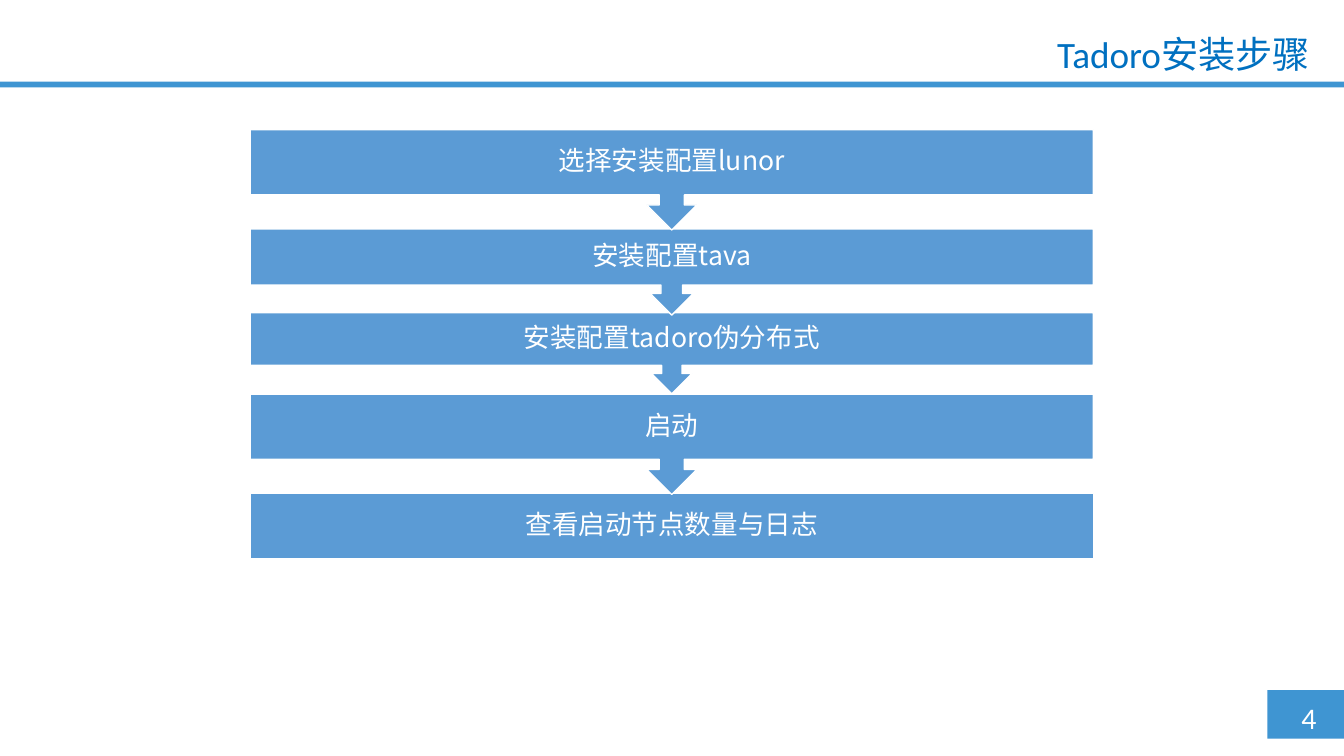
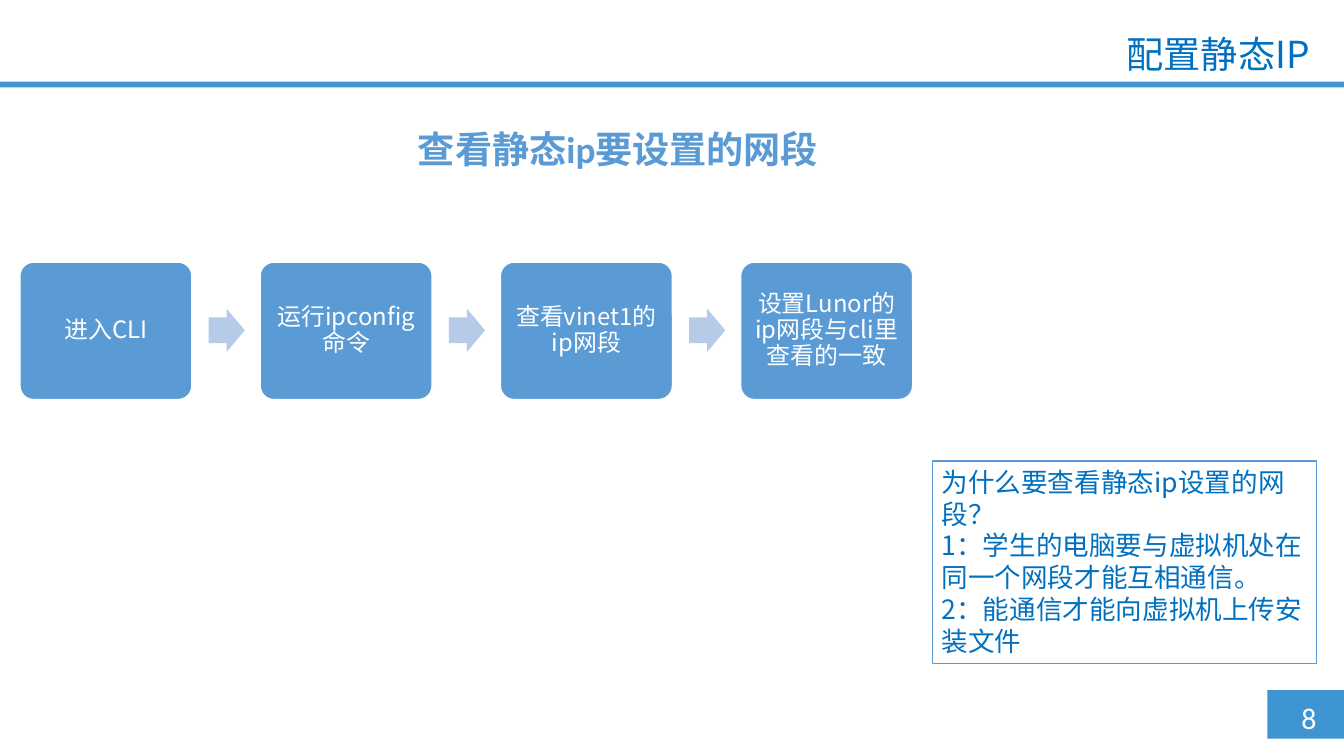
from pptx import Presentation
from pptx.enum import shapes, text
from pptx.dml.color import RGBColor
from pptx.oxml import parse_xml
from pptx.oxml.ns import nsdecls
from pptx.util import Pt

COLOURS = {
    "band": "3F95D2",
    "step": "5B9BD5",
    "arrow": "B5CBE7",
    "title": "0070C0",
    "white": "FFFFFF",
}
LATIN = "Calibri"
CHINESE = "Noto Sans CJK SC"
WIDTH, HEIGHT = 1012.5, 569.5
KINDS = shapes.MSO_SHAPE
ALIGN = text.PP_ALIGN
ANCHOR = text.MSO_ANCHOR


def colour(name):
    return RGBColor.from_string(COLOURS[name])


def write(frame, content, size=20, ink="white", font=CHINESE, bold=False,
          align=ALIGN.LEFT, anchor=ANCHOR.TOP, spacing=None,
          insets=(7.2, 3.6), wrap=True):
    """Fill a text frame, one paragraph for each line of content."""
    frame.word_wrap = wrap
    frame.vertical_anchor = anchor
    frame.margin_left = frame.margin_right = Pt(insets[0])
    frame.margin_top = frame.margin_bottom = Pt(insets[1])
    for index, line in enumerate(content.split("\n")):
        paragraph = frame.add_paragraph() if index else frame.paragraphs[0]
        paragraph.alignment = align
        if spacing:
            paragraph.line_spacing = spacing
        run = paragraph.add_run()
        run.text = line
        run.font.size = Pt(size)
        run.font.bold = bold
        run.font.color.rgb = colour(ink)
        run.font.name = font
        east_asian = f'<a:ea {nsdecls("a")} typeface="{CHINESE}"/>'
        run.font._element.append(parse_xml(east_asian))


class Deck:
    """Holds the presentation, its shared style and the current slide."""

    def __init__(self):
        self.presentation = Presentation()
        self.presentation.slide_width = Pt(WIDTH)
        self.presentation.slide_height = Pt(HEIGHT)
        self.slide = None

    def start_slide(self, title, number, title_font=CHINESE):
        blank = self.presentation.slide_layouts[6]
        self.slide = self.presentation.slides.add_slide(blank)
        self.shape(KINDS.RECTANGLE, 954.7, 519.8, 57.8, 36.7, "band")
        self.shape(KINDS.RECTANGLE, 0, 61.5, WIDTH, 4.3, "band")
        self.label(str(number), 973.4, 523.8, 46.8, 34.6,
                   size=22.5, font=LATIN, wrap=False)
        self.label(title, 460.8, 23.8, 532.8, 28.8, size=28, ink="title",
                   font=title_font, align=ALIGN.RIGHT, spacing=0.9)

    def shape(self, kind, left, top, width, height, fill, line=None,
              adjustments=()):
        shape = self.slide.shapes.add_shape(
            kind, Pt(left), Pt(top), Pt(width), Pt(height))
        shape.shadow.inherit = False
        shape.fill.solid()
        shape.fill.fore_color.rgb = colour(fill)
        if line:
            shape.line.color.rgb = colour(line)
            shape.line.width = Pt(1)
        else:
            shape.line.fill.background()
        for index, value in enumerate(adjustments):
            shape.adjustments[index] = value
        return shape

    def label(self, content, left, top, width, height, **style):
        box = self.slide.shapes.add_textbox(
            Pt(left), Pt(top), Pt(width), Pt(height))
        write(box.text_frame, content, **style)

    def step(self, kind, content, left, top, width, height, size, insets,
             adjustments=()):
        """Draw a process step with centred white text."""
        step = self.shape(kind, left, top, width, height, "step", "white",
                          adjustments)
        write(step.text_frame, content, size=size, align=ALIGN.CENTER,
              anchor=ANCHOR.MIDDLE, spacing=0.9, insets=insets)

    def note(self, content, left, top, width, height):
        note = self.shape(KINDS.RECTANGLE, left, top, width, height,
                          "white", "step")
        write(note.text_frame, content, ink="title")


def install_steps(deck):
    deck.start_slide("Tadoro安装步骤", 4, title_font=LATIN)
    steps = [
        ("选择安装配置lunor", 97.7, 75.6),
        ("安装配置tava", 172.6, 64.8),
        ("安装配置tadoro伪分布式", 235.5, 61.2),
        ("启动", 296.9, 75.6),
        ("查看启动节点数量与日志", 371.5, 49),
    ]
    last = steps[-1]
    # Bottom up, so that each arrow tip lies over the step below it.
    for step in reversed(steps):
        content, top, height = step
        kind = KINDS.RECTANGLE if step is last else KINDS.DOWN_ARROW_CALLOUT
        deck.step(kind, content, 188.6, top, 635, height, 20, (11.5, 0))


def static_ip(deck):
    deck.start_slide("配置静态IP", 8)
    deck.label("查看静态ip要设置的网段", 307.8, 91.8, 544.3, 41,
               size=28, ink="step", font=LATIN, bold=True)
    deck.note("为什么要查看静态ip设置的网段？\n"
              "1：学生的电脑要与虚拟机处在同一个网段才能互相通信。\n"
              "2：能通信才能向虚拟机上传安装文件",
              702.3, 347.2, 289.4, 152.6)
    steps = ["进入CLI", "运行ipconfig命令", "查看vinet1的ip网段",
             "设置Lunor的ip网段与cli里查看的一致"]
    first_left, pitch = 15, 181
    for index, content in enumerate(steps):
        left = first_left + index * pitch
        if index:
            deck.shape(KINDS.RIGHT_ARROW, left - 38.8, 232.6, 27.2, 32.4,
                       "arrow", adjustments=(0.6, 0.5))
        deck.step(KINDS.ROUNDED_RECTANGLE, content, left, 197.5, 129.6,
                  103.5, 18, (5, 5), adjustments=(0.1,))


def main():
    deck = Deck()
    install_steps(deck)
    static_ip(deck)
    deck.presentation.save("out.pptx")


if __name__ == "__main__":
    main()
